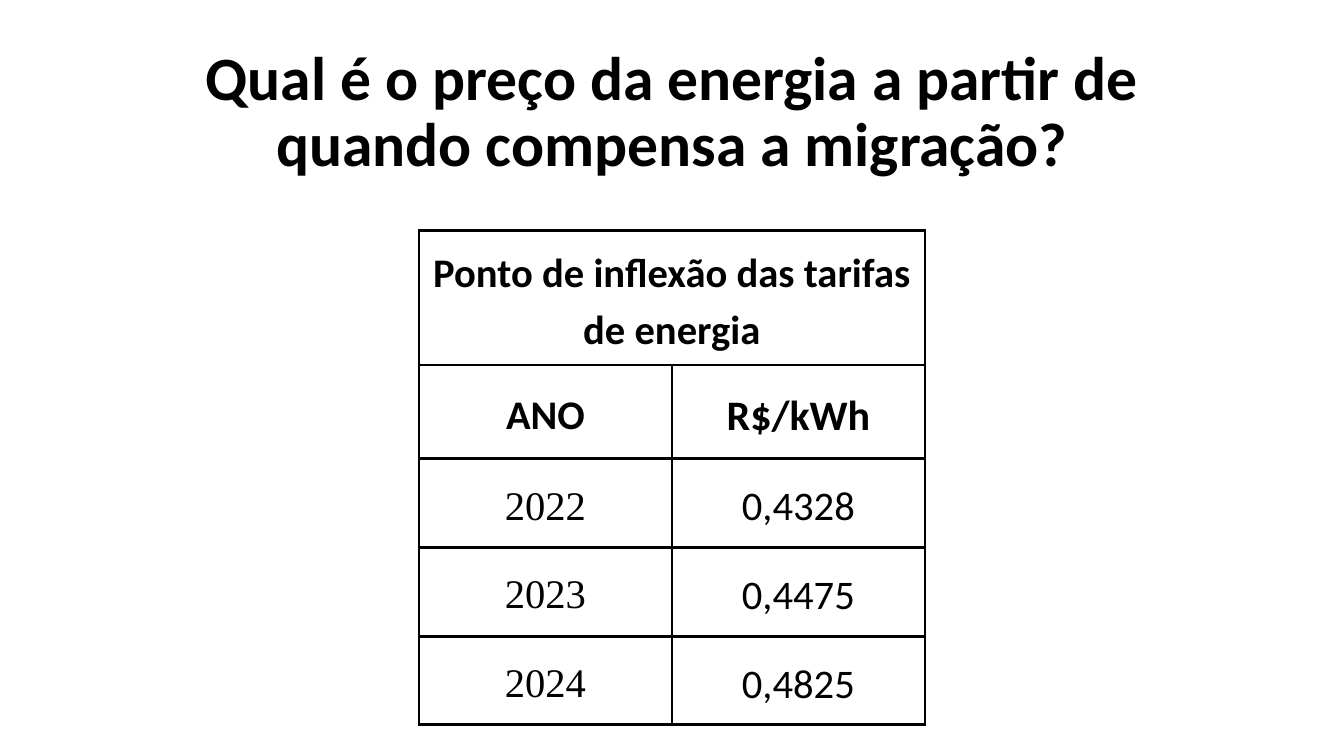
from dataclasses import dataclass

from lxml import etree
from pptx import Presentation
from pptx import util as u
from pptx.dml.color import RGBColor
from pptx.enum import text
from pptx.oxml.ns import qn

SLIDE_W, SLIDE_H = u.Inches(13.33), u.Inches(7.5)


@dataclass(frozen=True)
class Theme:
    ink: str = "000000"
    paper: str = "FFFFFF"
    sans: str = "Calibri"
    serif: str = "Times New Roman"
    title_size: float = 44
    table_size: float = 29
    unit_size: float = 30
    border: float = 2.25


THEME = Theme()


@dataclass(frozen=True)
class Entry:
    wording: str
    size: float = THEME.table_size
    font: str = THEME.sans
    bold: bool = False
    fill: str | None = None


@dataclass(frozen=True)
class Tariff:
    year: str
    price: str

    def entries(self) -> list[Entry]:
        return [Entry(self.year, font=THEME.serif), Entry(self.price)]


QUESTION = Entry("Qual é o preço da energia a partir de quando compensa a migração?",
                 THEME.title_size, bold=True)
CAPTION = Entry("Ponto de inflexão das tarifas de energia", bold=True)
HEADINGS = [Entry("ANO", bold=True),
            Entry("R$/kWh", THEME.unit_size, bold=True, fill=THEME.paper)]
TARIFFS = [Tariff("2022", "0,4328"), Tariff("2023", "0,4475"), Tariff("2024", "0,4825")]

COLUMN_WIDTH = u.Inches(2.51)
ROW_HEIGHTS = [u.Inches(1.3), u.Inches(0.93)] + [u.Inches(0.88)] * len(TARIFFS)


def write(frame, entry: Entry, spacing: float) -> None:
    frame.text = entry.wording
    paragraph = frame.paragraphs[0]
    paragraph.alignment = text.PP_ALIGN.CENTER
    paragraph.line_spacing = spacing
    font = paragraph.runs[0].font
    font.name, font.size, font.bold = entry.font, u.Pt(entry.size), entry.bold
    font.color.rgb = RGBColor.from_string(THEME.ink)


def draw_borders(cell) -> None:
    """Put a solid line on all four sides; lines must precede the cell's fill."""
    properties = cell._tc.get_or_add_tcPr()
    for position, side in enumerate(("lnL", "lnR", "lnT", "lnB")):
        line = etree.Element(qn(f"a:{side}"), w=str(u.Pt(THEME.border)))
        solid = etree.SubElement(line, qn("a:solidFill"))
        etree.SubElement(solid, qn("a:srgbClr"), val=THEME.ink)
        properties.insert(position, line)


def fill_cell(cell, entry: Entry) -> None:
    cell.vertical_anchor = text.MSO_ANCHOR.MIDDLE
    cell.margin_left = cell.margin_right = u.Inches(0.03)
    cell.margin_top = cell.margin_bottom = u.Inches(0.1)
    write(cell.text_frame, entry, spacing=1.15)
    if entry.fill:
        cell.fill.solid()
        cell.fill.fore_color.rgb = RGBColor.from_string(entry.fill)
    else:
        cell.fill.background()


def add_title(slide) -> None:
    title = slide.shapes.title
    title.left, title.top = u.Inches(0.92), u.Inches(0.4)
    title.width, title.height = u.Inches(11.5), u.Inches(1.45)
    frame = title.text_frame
    frame.auto_size = text.MSO_AUTO_SIZE.NONE
    frame.word_wrap = True
    frame.vertical_anchor = text.MSO_ANCHOR.MIDDLE
    write(frame, QUESTION, spacing=0.9)


def add_tariffs(slide) -> None:
    body = [HEADINGS] + [tariff.entries() for tariff in TARIFFS]
    columns = len(HEADINGS)
    width = COLUMN_WIDTH * columns
    table = slide.shapes.add_table(
        len(ROW_HEIGHTS), columns, (SLIDE_W - width) // 2, u.Inches(2.29),
        width, sum(ROW_HEIGHTS)).table
    table.first_row = table.horz_banding = False
    for column in table.columns:
        column.width = COLUMN_WIDTH
    for row, height in zip(table.rows, ROW_HEIGHTS):
        row.height = height

    caption = table.cell(0, 0)
    caption.merge(table.cell(0, columns - 1))
    fill_cell(caption, CAPTION)
    for row, entries in enumerate(body, start=1):
        for column, entry in enumerate(entries):
            fill_cell(table.cell(row, column), entry)
    for cell in table.iter_cells():
        draw_borders(cell)


def main() -> None:
    deck = Presentation()
    deck.slide_width, deck.slide_height = SLIDE_W, SLIDE_H
    slide = deck.slides.add_slide(deck.slide_layouts[5])
    add_title(slide)
    add_tariffs(slide)
    deck.save("out.pptx")


if __name__ == "__main__":
    main()
